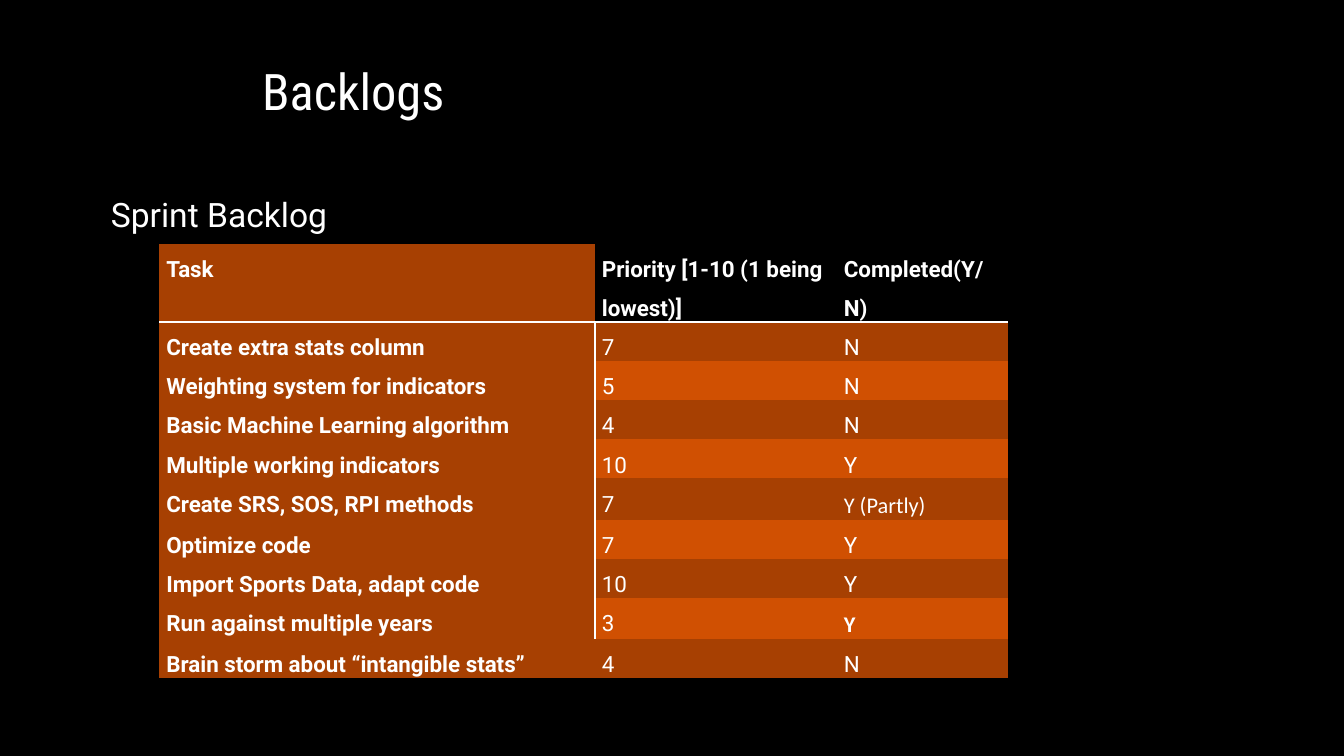
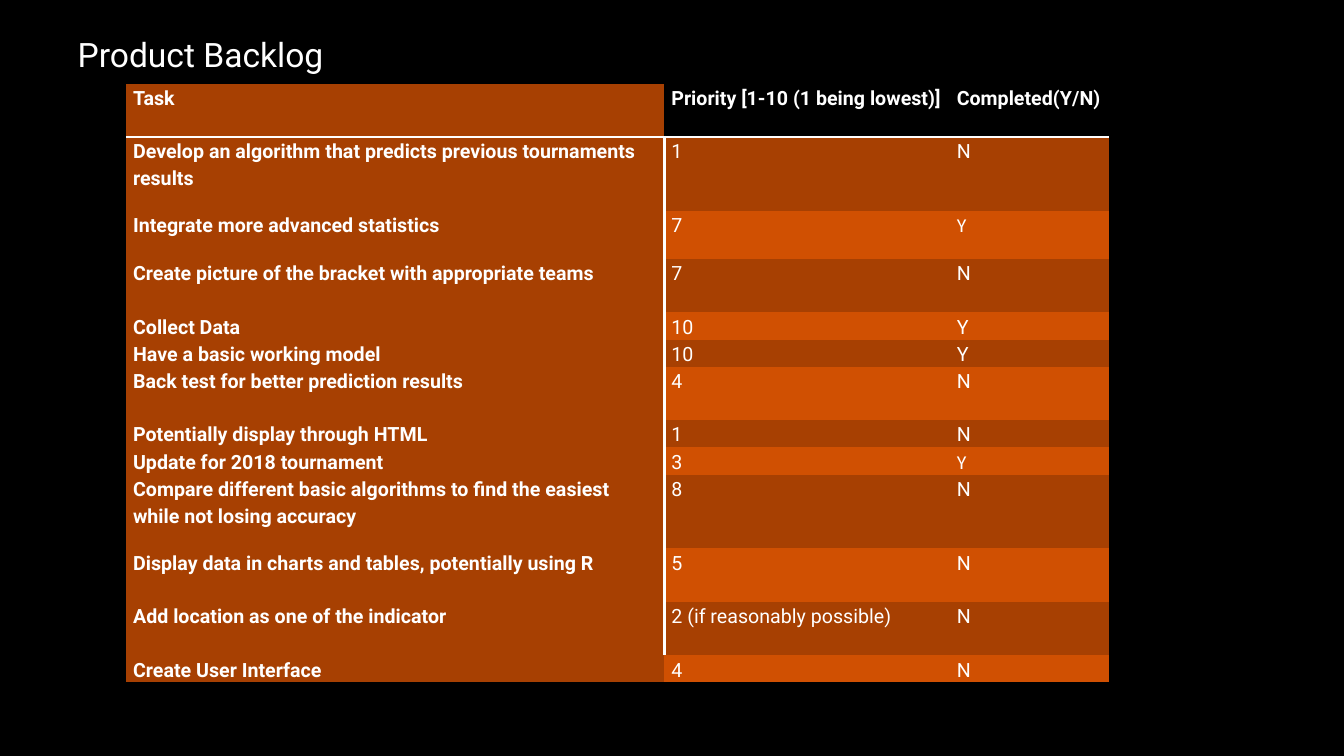
from lxml.etree import fromstring
from pptx import Presentation
from pptx.dml.color import RGBColor as RGB
from pptx.enum.text import MSO_ANCHOR as ANCHOR, MSO_AUTO_SIZE as AUTO, PP_ALIGN as ALIGN
from pptx.util import Inches, Pt

BLACK = RGB(0x00, 0x00, 0x00)
WHITE = RGB(0xFF, 0xFF, 0xFF)
RUST = RGB(0xA7, 0x40, 0x02)
ORANGE = RGB(0xD0, 0x50, 0x02)
BODY = "Roboto"
HEAD = "Roboto Condensed"
PLAIN = "Calibri"
NO_GRID = "{2D5ABB26-0587-4C30-8999-92F81FD0307C}"
MAIN = "http://schemas.openxmlformats.org/drawingml/2006/main"

TOP = ("Task", "Priority [1-10 (1 being lowest)]", "Completed(Y/N)")
SPRINT = [
    TOP,
    ("Create extra stats column", "7", "N"),
    ("Weighting system for indicators", "5", "N"),
    ("Basic Machine Learning algorithm", "4", "N"),
    ("Multiple working indicators", "10", "Y"),
    ("Create SRS, SOS, RPI methods", "7", "Y (Partly)"),
    ("Optimize code", "7", "Y"),
    ("Import Sports Data, adapt code", "10", "Y"),
    ("Run against multiple years", "3", "Y"),
    ("Brain storm about “intangible stats”", "4", "N"),
]
PRODUCT = [
    TOP,
    ("Develop an algorithm that predicts previous tournaments results", "1", "N"),
    ("Integrate more advanced statistics", "7", "Y"),
    ("Create picture of the bracket with appropriate teams", "7", "N"),
    ("Collect Data", "10", "Y"),
    ("Have a basic working model", "10", "Y"),
    ("Back test for better prediction results", "4", "N"),
    ("Potentially display through HTML", "1", "N"),
    ("Update for 2018 tournament", "3", "Y"),
    ("Compare different basic algorithms to find the easiest while not losing accuracy", "8", "N"),
    ("Display data in charts and tables, potentially using R", "5", "N"),
    ("Add location as one of the indicator", "2 (if reasonably possible)", "N"),
    ("Create User Interface", "4", "N"),
]

PAGES = [
    dict(title="Backlogs", label="Sprint Backlog", box=(1, 1.92, 5.33, 4.75),
         at=(1.58, 2.42), cols=(4.32, 2.4, 1.7), highs=[0.77] + [0.38] * 9,
         rows=SPRINT, size=16, space=1.5, plain=(5, 8), bold=(8,)),
    dict(title=None, label="Product Backlog", box=(0.67, 0.33, 11, 4.75),
         at=(1.25, 0.83), cols=(5.34, 2.83, 1.58),
         highs=[0.53, 0.73, 0.48, 0.53, 0.27, 0.27, 0.53, 0.27, 0.27, 0.73, 0.53, 0.53, 0.27],
         rows=PRODUCT, size=14, space=1.15, plain=(2, 8), bold=()),
]


def style(para, font, size, space, bold=False):
    para.alignment = ALIGN.LEFT
    para.line_spacing = space
    for run in para.runs:
        run.font.name = font
        run.font.size = Pt(size)
        run.font.bold = bold
        run.font.color.rgb = WHITE


def fit(shape, box, text, anchor):
    shape.left, shape.top, shape.width, shape.height = map(Inches, box)
    frame = shape.text_frame
    frame.text = text
    frame.word_wrap = True
    frame.auto_size = AUTO.NONE
    frame.vertical_anchor = anchor
    return frame.paragraphs[0]


prs = Presentation()
prs.slide_width = Inches(13.33)
prs.slide_height = Inches(7.5)
back = prs.slide_master.background.fill
back.solid()
back.fore_color.rgb = BLACK

for page in PAGES:
    slide = prs.slides.add_slide(prs.slide_layouts[1])
    title, body = slide.placeholders
    if page["title"]:
        para = fit(title, (2.5, 0, 10.83, 1.25), page["title"], ANCHOR.BOTTOM)
        style(para, HEAD, 36, 0.9)
    else:
        title.element.getparent().remove(title.element)

    para = fit(body, page["box"], page["label"], ANCHOR.TOP)
    style(para, BODY, 24, 0.9)
    para.space_before = Pt(18)
    props = para._p.get_or_add_pPr()
    props.set("marL", "0")
    props.set("indent", "0")
    props.append(fromstring(f'<a:buNone xmlns:a="{MAIN}"/>'))

    rows, cols, highs = page["rows"], page["cols"], page["highs"]
    left, top = page["at"]
    table = slide.shapes.add_table(len(rows), len(cols), Inches(left), Inches(top),
                                   Inches(sum(cols)), Inches(sum(highs))).table
    table._tbl.tblPr[0].text = NO_GRID
    for col, width in zip(table.columns, cols):
        col.width = Inches(width)
    for row, high in zip(table.rows, highs):
        row.height = Inches(high)

    last = len(rows) - 1
    for r, row in enumerate(rows):
        for c, text in enumerate(row):
            cell = table.cell(r, c)
            cell.margin_left = cell.margin_right = Inches(0.07)
            cell.margin_top = cell.margin_bottom = 0
            cell.text_frame.text = text
            font = PLAIN if c == 2 and r in page["plain"] else BODY
            bold = r == 0 or c == 0 or (c == 2 and r in page["bold"])
            style(cell.text_frame.paragraphs[0], font, page["size"], page["space"], bold)
            cell.fill.solid()
            if c == 0:
                shade = RUST
            elif r == 0:
                shade = BLACK
            else:
                shade = RUST if r % 2 else ORANGE
            cell.fill.fore_color.rgb = shade
            side = "lnB" if r == 0 else "lnR" if c == 0 and r < last else None
            if side:
                cell._tc.get_or_add_tcPr().insert(0, fromstring(
                    f'<a:{side} xmlns:a="{MAIN}" w="{Pt(2)}"><a:solidFill>'
                    f'<a:srgbClr val="{WHITE}"/></a:solidFill></a:{side}>'))

prs.save("out.pptx")
